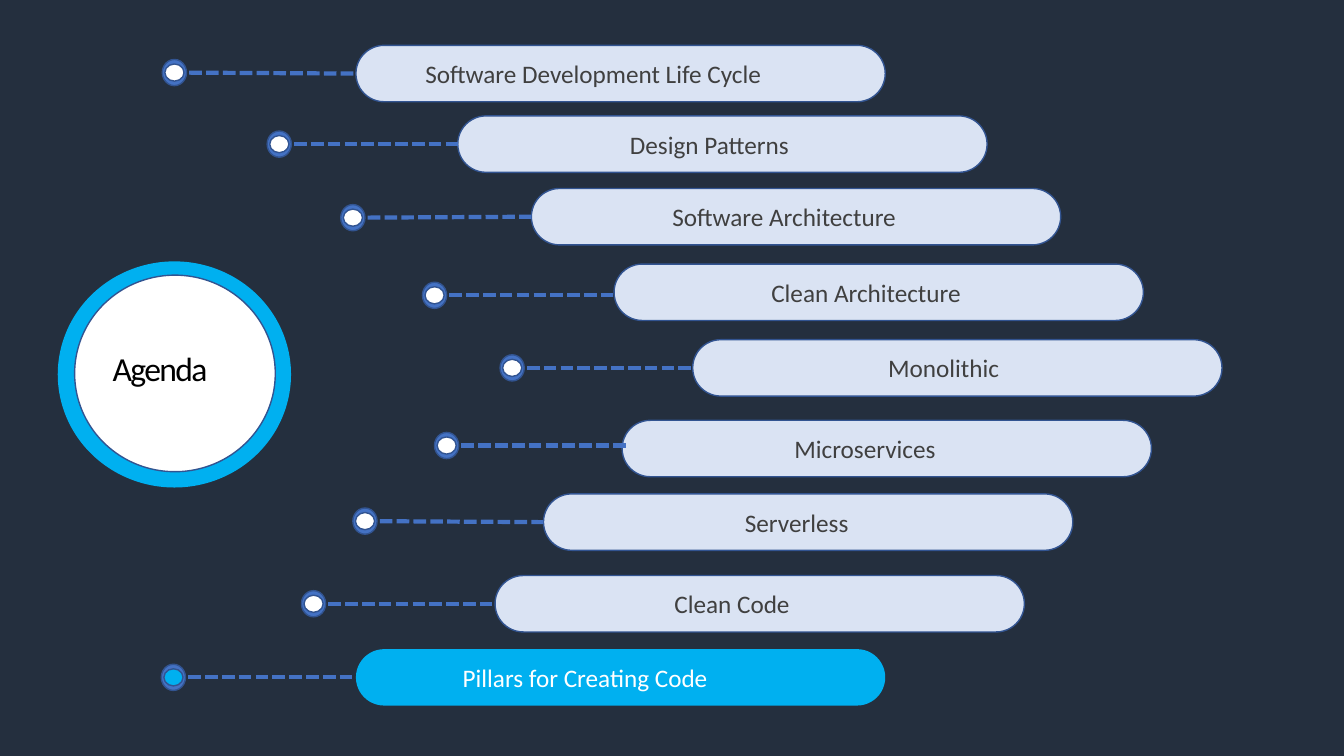
from typing import NamedTuple

from lxml import etree
from pptx import Presentation
from pptx.dml.color import RGBColor
from pptx.enum import dml, shapes, text
from pptx.oxml import ns
from pptx.util import Inches, Pt

NIGHT = RGBColor(0x24, 0x2F, 0x3E)
SKY = RGBColor(0x00, 0xB0, 0xF0)
WHITE = RGBColor(0xFF, 0xFF, 0xFF)
BLACK = RGBColor(0x00, 0x00, 0x00)
PALE = RGBColor(0xDA, 0xE3, 0xF3)
BLUE = RGBColor(0x44, 0x72, 0xC4)
EDGE = RGBColor(0x32, 0x54, 0x91)
GREY = RGBColor(0x40, 0x40, 0x40)

PILL_WIDTH, PILL_HEIGHT = 5.25, 0.56
MARKER_WIDTH, MARKER_HEIGHT = 0.24, 0.26
DOT_WIDTH, DOT_HEIGHT = 0.19, 0.17
DASH_LENGTH = 1.82
LEFT, CENTER = text.PP_ALIGN.LEFT, text.PP_ALIGN.CENTER


class Topic(NamedTuple):
    label: str
    pill_left: float
    pill_top: float
    label_left: float
    label_width: float
    marker_left: float
    marker_top: float
    align: text.PP_ALIGN = LEFT
    active: bool = False


TOPICS = [
    Topic("Software Development Life Cycle", 3.53, 0.45, 4.12, 3.94, 1.61, 0.59),
    Topic("Design Patterns", 4.54, 1.15, 6.15, 1.97, 2.65, 1.3),
    Topic("Software Architecture", 5.27, 1.87, 6.57, 2.64, 3.38, 2.03),
    Topic("Clean Architecture", 6.09, 2.62, 7.45, 2.28, 4.19, 2.8, align=CENTER),
    Topic("Monolithic", 6.87, 3.37, 8.71, 1.35, 4.96, 3.52),
    Topic("Microservices", 6.17, 4.17, 7.78, 1.73, 4.31, 4.29),
    Topic("Serverless", 5.39, 4.9, 7.29, 1.37, 3.5, 5.04),
    Topic("Clean Code", 4.91, 5.71, 6.59, 1.48, 2.99, 5.86),
    Topic("Pillars for Creating Code", 3.53, 6.44, 4.49, 2.92, 1.6, 6.59, active=True),
]


def add_filled(page, kind, left, top, width, height, fill, edge=EDGE):
    shape = page.shapes.add_shape(
        kind, Inches(left), Inches(top), Inches(width), Inches(height))
    shape.shadow.inherit = False
    shape.fill.solid()
    shape.fill.fore_color.rgb = fill
    shape.line.color.rgb = edge
    shape.line.width = Pt(1)
    return shape


def add_label(page, words, left, top, width, height, size, color, align=LEFT):
    box = page.shapes.add_textbox(
        Inches(left), Inches(top), Inches(width), Inches(height))
    box.text_frame.word_wrap = True
    para = box.text_frame.paragraphs[0]
    para.alignment = align
    span = para.add_run()
    span.text = words
    span.font.name = "Calibri"
    span.font.size = Pt(size)
    span.font.color.rgb = color
    return para, span


def add_hub(page, left, top, width, height):
    """Ringed circle that carries the slide's title."""
    oval = shapes.MSO_SHAPE.OVAL
    add_filled(page, oval, left, top, width, height, SKY, SKY)
    add_filled(page, oval, left + 0.16, top + 0.13, width - 0.31, height - 0.28, WHITE)
    para, span = add_label(
        page, "Agenda", left + 0.44, top + 0.85, 1.34, 0.52, 24, BLACK)
    para.line_spacing = 0.9
    span.font._element.set("spc", "-120")


def add_pill(page, topic):
    pill = add_filled(
        page, shapes.MSO_SHAPE.ROUNDED_RECTANGLE, topic.pill_left, topic.pill_top,
        PILL_WIDTH, PILL_HEIGHT, SKY if topic.active else PALE)
    pill.adjustments[0] = 0.5
    if topic.active:
        pill.line.fill.background()
    add_label(page, topic.label, topic.label_left, topic.pill_top + 0.08,
              topic.label_width, 0.4, 18, WHITE if topic.active else GREY, topic.align)
    return pill


def add_marker(page, topic, pill):
    """Ringed dot with a dashed line leading to the topic's pill."""
    oval = shapes.MSO_SHAPE.OVAL
    left, top = topic.marker_left, topic.marker_top
    add_filled(page, oval, left, top, MARKER_WIDTH, MARKER_HEIGHT, BLUE)

    start, middle = left + 0.1, top + MARKER_HEIGHT / 2
    dash = page.shapes.add_connector(
        shapes.MSO_CONNECTOR.STRAIGHT, Inches(start), Inches(middle),
        Inches(start + DASH_LENGTH), Inches(middle))
    dash.line.color.rgb = BLUE
    dash.line.width = Pt(3)
    dash.line.dash_style = dml.MSO_LINE.SQUARE_DOT
    etree.SubElement(dash._element.spPr, ns.qn("a:effectLst"))
    if abs(topic.pill_top + PILL_HEIGHT / 2 - middle) < 0.02:
        dash.end_connect(pill, 1)

    add_filled(page, oval, left + (MARKER_WIDTH - DOT_WIDTH) / 2,
               top + (MARKER_HEIGHT - DOT_HEIGHT) / 2, DOT_WIDTH, DOT_HEIGHT,
               SKY if topic.active else WHITE)


def add_agenda(deck):
    page = deck.slides.add_slide(deck.slide_layouts[6])
    page.background.fill.solid()
    page.background.fill.fore_color.rgb = NIGHT
    add_hub(page, 0.58, 2.6, 2.3, 2.23)
    pills = [add_pill(page, topic) for topic in TOPICS]
    for topic, pill in zip(TOPICS, pills):
        add_marker(page, topic, pill)


def main():
    deck = Presentation()
    deck.slide_width, deck.slide_height = Inches(13.33), Inches(7.5)
    add_agenda(deck)
    deck.save("out.pptx")


if __name__ == "__main__":
    main()
